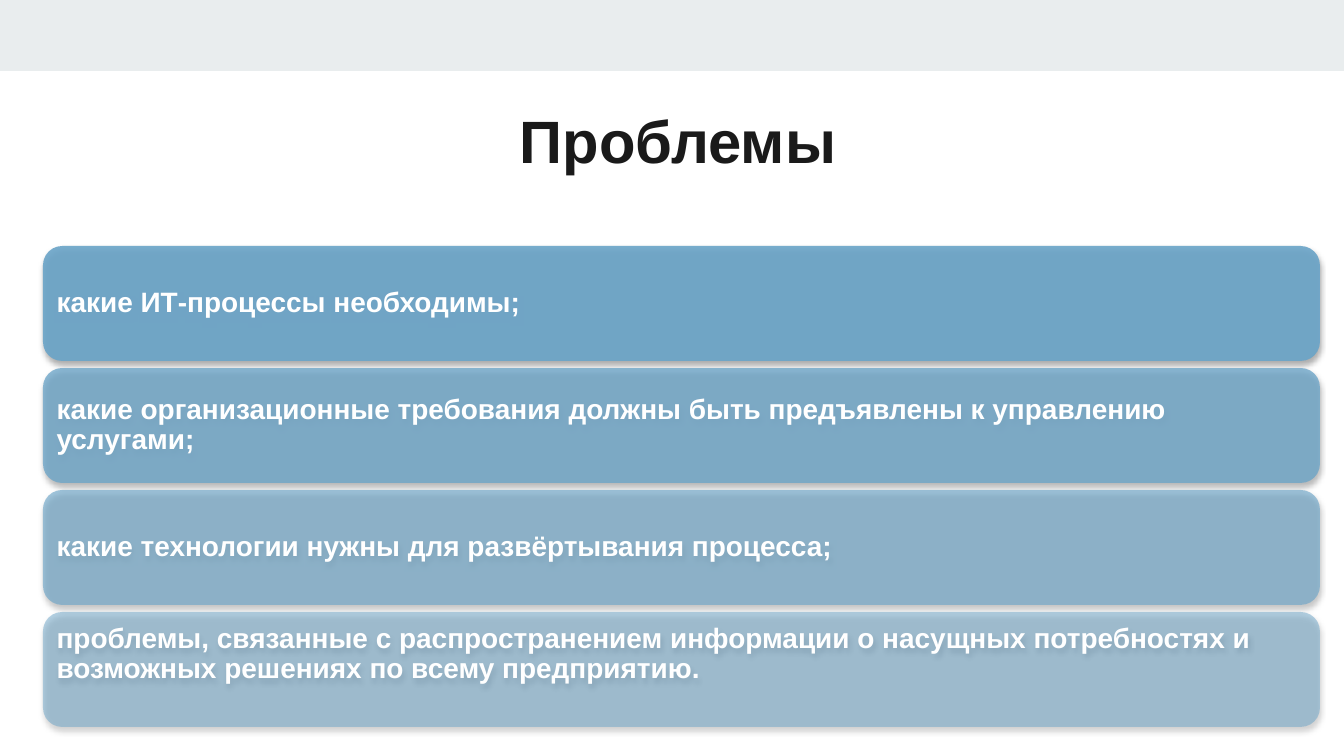
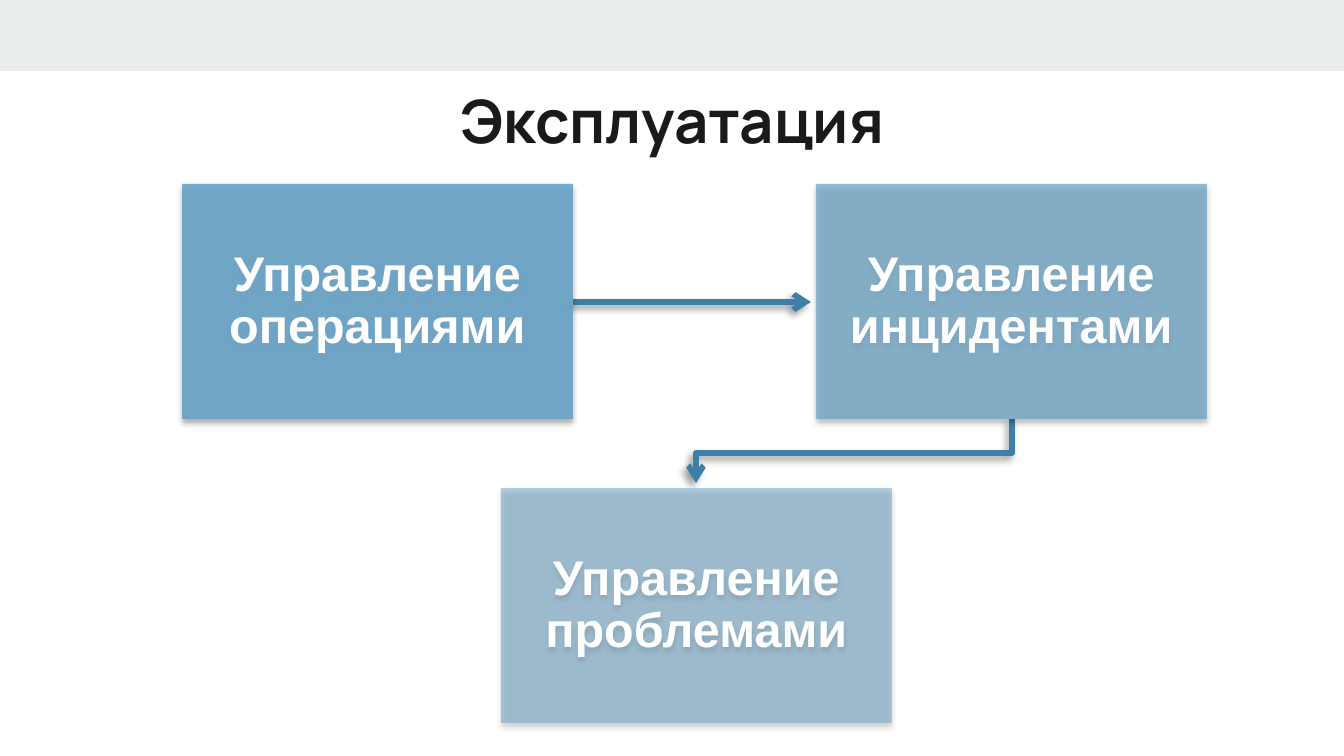
from lxml.etree import SubElement
from pptx import Presentation
from pptx.dml.color import RGBColor
from pptx.enum.shapes import MSO_CONNECTOR as Connector, MSO_SHAPE as Preset
from pptx.enum.text import MSO_ANCHOR as Anchor, PP_ALIGN as Align
from pptx.oxml.ns import qn
from pptx.util import Pt

SLIDE_W, SLIDE_H = 1344, 756
EMU_PER_PX = 9144000 / SLIDE_W

BAND_GREY = RGBColor(0xE9, 0xED, 0xEE)
TITLE_INK = RGBColor(0x1A, 0x1A, 0x1A)
PANEL_BLUE = RGBColor(0x6A, 0xA4, 0xC8)
ARROW_BLUE = RGBColor(0x3E, 0x7F, 0xA8)
WHITE = RGBColor(0xFF, 0xFF, 0xFF)

TITLE_FONT = {"name": "Arial", "size": Pt(32), "bold": True}
PROBLEM_FONT = {"name": "Arial", "size": Pt(15), "bold": True}
PROCESS_FONT = {"name": "Arial", "size": Pt(26), "bold": True}
PROBLEM_PARAGRAPH = {"alignment": Align.LEFT, "line_spacing": 0.9}
PROCESS_PARAGRAPH = {"alignment": Align.CENTER, "line_spacing": 0.9}
PANEL_SHADOW = {"blur": 3.1, "distance": 1.8, "angle": 90, "alpha": 35}
ARROW_SHADOW = {"blur": 4, "distance": 3, "angle": 135, "alpha": 40}

PROBLEMS = [
    "какие ИТ-процессы необходимы;",
    "какие организационные требования должны быть предъявлены к управлению услугами;",
    "какие технологии нужны для развёртывания процесса;",
    "проблемы, связанные с распространением информации о насущных потребностях "
    "и возможных решениях по всему предприятию.",
]
PROCESSES = [
    ("Управление операциями", 182, 184),
    ("Управление инцидентами", 816, 184),
    ("Управление проблемами", 501, 488),
]
PROCESS_W, PROCESS_H = 391, 235
ROUTES = [
    [(573, 302), (811, 302)],
    [(1012, 419), (1012, 453), (696, 453), (696, 483)],
]


def px(*lengths):
    """Turn pixel lengths into a list of EMU."""
    return [round(length * EMU_PER_PX) for length in lengths]


def apply(target, values):
    """Set each attribute of the target from a dict of values."""
    for attribute, value in values.items():
        setattr(target, attribute, value)


def set_shadow(shape, blur, distance, angle, alpha):
    """Give a shape a soft black outer shadow."""
    effects = SubElement(shape._element.spPr, qn("a:effectLst"))
    shadow = SubElement(effects, qn("a:outerShdw"), blurRad=str(Pt(blur)),
                        dist=str(Pt(distance)), dir=str(angle * 60000),
                        algn="ctr", rotWithShape="0")
    black = SubElement(shadow, qn("a:srgbClr"), val="000000")
    SubElement(black, qn("a:alpha"), val=str(alpha * 1000))


def set_opacity(shape, percent):
    """Make the solid fill of a shape partly transparent."""
    colour = shape._element.spPr.find(f"{qn('a:solidFill')}/{qn('a:srgbClr')}")
    SubElement(colour, qn("a:alpha"), val=str(percent * 1000))


def fade(index, count):
    """Return the opacity of one panel, falling evenly from 90 to 50."""
    return round(90 - 40 * index / (count - 1))


def write_text(shape, text, font, colour, paragraph_format, inset, bottom=None):
    """Put one formatted paragraph in the middle of a shape."""
    [side, low] = px(inset, inset if bottom is None else bottom)
    frame = shape.text_frame
    apply(frame, {"word_wrap": True, "vertical_anchor": Anchor.MIDDLE,
                  "margin_left": side, "margin_right": side,
                  "margin_top": side, "margin_bottom": low})
    paragraph = frame.paragraphs[0]
    apply(paragraph, paragraph_format)
    run = paragraph.add_run()
    run.text = text
    apply(run.font, font)
    run.font.color.rgb = colour


def add_block(slide, preset, box, colour):
    """Add a filled preset shape without an outline."""
    block = slide.shapes.add_shape(preset, *px(*box))
    block.fill.solid()
    block.fill.fore_color.rgb = colour
    block.line.fill.background()
    return block


def add_panel(slide, preset, box, opacity):
    """Add a translucent blue panel with a shadow."""
    panel = add_block(slide, preset, box, PANEL_BLUE)
    set_opacity(panel, opacity)
    set_shadow(panel, **PANEL_SHADOW)
    return panel


def add_arrow(slide, route):
    """Draw an arrow through the points of a route."""
    points = [tuple(px(*point)) for point in route]
    if len(points) == 2:
        arrow = slide.shapes.add_connector(Connector.STRAIGHT, *points[0], *points[1])
    else:
        builder = slide.shapes.build_freeform(*points[0])
        builder.add_line_segments(points[1:], close=False)
        arrow = builder.convert_to_shape()
        arrow.fill.background()
    arrow.line.width = Pt(3)
    arrow.line.color.rgb = ARROW_BLUE
    SubElement(arrow._element.spPr.find(qn("a:ln")), qn("a:tailEnd"), type="arrow")
    set_shadow(arrow, **ARROW_SHADOW)


def add_titled_slide(deck, title, box, **font_changes):
    """Add a blank slide with the top band and a centred title."""
    slide = deck.slides.add_slide(deck.slide_layouts[6])
    band = add_block(slide, Preset.RECTANGLE, (0, 0, SLIDE_W, 71), BAND_GREY)
    band.shadow.inherit = False
    heading = slide.shapes.add_textbox(*px(*box))
    write_text(heading, title, {**TITLE_FONT, **font_changes}, TITLE_INK,
               {"alignment": Align.CENTER}, 13)
    return slide


def build_problems(deck):
    """Build the slide that stacks the problems."""
    slide = add_titled_slide(deck, "Проблемы", (30, 70, 1296, 140))
    last = len(PROBLEMS) - 1
    for index, problem in enumerate(PROBLEMS):
        panel = add_panel(slide, Preset.ROUNDED_RECTANGLE,
                          (43, 246 + 122 * index, 1277, 115),
                          fade(index, len(PROBLEMS)))
        write_text(panel, problem, PROBLEM_FONT, WHITE, PROBLEM_PARAGRAPH, 8,
                   bottom=38 if index == last else 8)


def build_operations(deck):
    """Build the slide that links the operation processes."""
    slide = add_titled_slide(deck, "Эксплуатация", (121, 65, 1103, 110), name="Manrope")
    for route in ROUTES:
        add_arrow(slide, route)
    for index, (process, left, top) in enumerate(PROCESSES):
        panel = add_panel(slide, Preset.RECTANGLE, (left, top, PROCESS_W, PROCESS_H),
                          fade(index, len(PROCESSES)))
        write_text(panel, process, PROCESS_FONT, WHITE, PROCESS_PARAGRAPH, 26)


def main():
    """Build both slides and save the deck."""
    deck = Presentation()
    deck.slide_width, deck.slide_height = px(SLIDE_W, SLIDE_H)
    build_problems(deck)
    build_operations(deck)
    deck.save("out.pptx")


if __name__ == "__main__":
    main()
